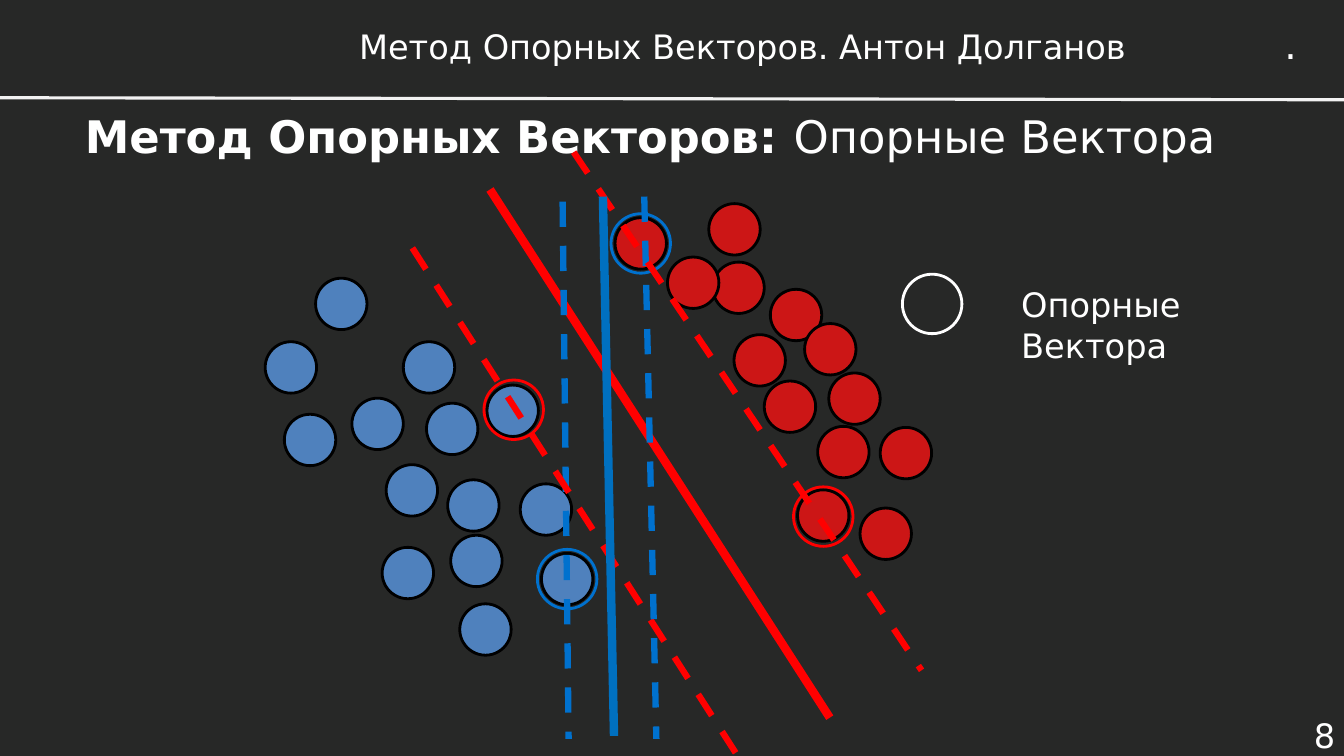
from pptx import Presentation
from pptx.dml.color import RGBColor
from pptx.enum import dml, shapes, text
from pptx.oxml.ns import qn
from pptx.util import Inches, Pt

COLORS = {
    "background": "272827", "white": "FFFFFF", "rule": "F2F2F2", "black": "000000",
    "blue_dot": "4F81BD", "red_dot": "CC1616",
    "red": "FF0000", "blue": "0071CE", "blue_solid": "0070C0",
}
FONT = "DejaVu Sans"
DOT, RING = 0.51, 0.59

prs = Presentation()
prs.slide_width, prs.slide_height = Inches(13.33), Inches(7.5)
s = prs.slides.add_slide(prs.slide_layouts[6])
s.background.fill.solid()
s.background.fill.fore_color.rgb = RGBColor.from_string(COLORS["background"])


def add_text(content, left, top, width, height, size=24, align="LEFT",
             anchor="MIDDLE", wrap=True, bold_lead=""):
    """Add a one-paragraph text box; bold_lead is set in bold before content."""
    tf = s.shapes.add_textbox(*map(Inches, (left, top, width, height))).text_frame
    tf.word_wrap = wrap
    tf.vertical_anchor = text.MSO_ANCHOR[anchor]
    p = tf.paragraphs[0]
    p.alignment = text.PP_ALIGN[align]
    for part, bold in ((bold_lead, True), (content, False)):
        if part:
            r = p.add_run()
            r.text = part
            r.font.name, r.font.size, r.font.bold = FONT, Pt(size), bold
            r.font.color.rgb = RGBColor.from_string(COLORS["white"])


def add_circle(left, top, size, line, fill=None):
    sp = s.shapes.add_shape(shapes.MSO_SHAPE.OVAL, *map(Inches, (left, top, size, size)))
    sp.shadow.inherit = False
    sp.line.color.rgb = RGBColor.from_string(COLORS[line])
    sp.line.width = Pt(2)
    if fill:
        sp.fill.solid()
        sp.fill.fore_color.rgb = RGBColor.from_string(COLORS[fill])
    else:
        sp.fill.background()


# Header, title and legend
add_text("8", 12.29, 7.08, 1.05, 0.42, align="RIGHT")
add_text("Метод Опорных Векторов. Антон Долганов", 3.44, 0.19, 7.85, 0.53, align="CENTER")
add_text(".", 12.64, 0.15, 0.34, 0.57, size=28, anchor="TOP", wrap=False)
add_text("Опорные Вектора", 0.45, 0.72, 12, 1.25, size=32, align="CENTER",
         bold_lead="Метод Опорных Векторов: ")
add_circle(8.95, 2.72, RING, "white")
add_text("Опорные Вектора", 10.03, 2.77, 3.2, 0.5, anchor="TOP")

# Two classes of points
points = {
    "blue_dot": [
        (3.83, 4.61), (4.23, 4), (5.37, 5.49), (4.44, 4.76), (5.16, 4.8),
        (4.47, 5.31), (4, 3.39), (4.83, 3.82), (2.63, 3.39), (3.13, 2.76),
        (2.82, 4.11), (4.56, 5.99), (3.79, 5.43), (3.49, 3.95),
    ],
    "red_dot": [
        (7.03, 2.02), (7.07, 2.6), (7.64, 2.87), (8.22, 3.7), (8.73, 4.24),
        (8.53, 5.04), (7.58, 3.78), (7.91, 4.86), (8.11, 4.23), (7.28, 3.32),
        (6.1, 2.16), (6.62, 2.55), (7.98, 3.21),
    ],
}
for fill, places in points.items():
    for left, top in places:
        add_circle(left, top, DOT, "black", fill)

# Rings around the support vectors
for left, top, color in [(6.06, 2.12, "blue"), (5.33, 5.45, "blue"),
                         (4.8, 3.77, "red"), (7.87, 4.83, "red")]:
    add_circle(left, top, RING, color)

# Header rule, separating lines and their dashed margins
lines = [
    (0, 0.97, 13.33, 0.99, "rule", 2.25, False),
    (4.86, 1.88, 8.23, 7.12, "red", 6, False),
    (5.58, 2, 5.64, 7.33, "blue", 4.5, True),
    (4.09, 2.46, 7.31, 7.49, "red", 4.5, True),
    (6.39, 1.95, 6.51, 7.33, "blue", 4.5, True),
    (5.69, 1.51, 9.14, 6.65, "red", 4.5, True),
    (5.98, 1.95, 6.09, 7.3, "blue_solid", 6, False),
]
for x1, y1, x2, y2, color, width, dashed in lines:
    cx = s.shapes.add_connector(shapes.MSO_CONNECTOR.STRAIGHT,
                                *map(Inches, (x1, y1, x2, y2)))
    cx.line.color.rgb = RGBColor.from_string(COLORS[color])
    cx.line.width = Pt(width)
    if dashed:
        cx.line.dash_style = dml.MSO_LINE.DASH
    sp_pr = cx._element.spPr
    sp_pr.append(sp_pr.makeelement(qn("a:effectLst"), {}))

prs.save("out.pptx")
